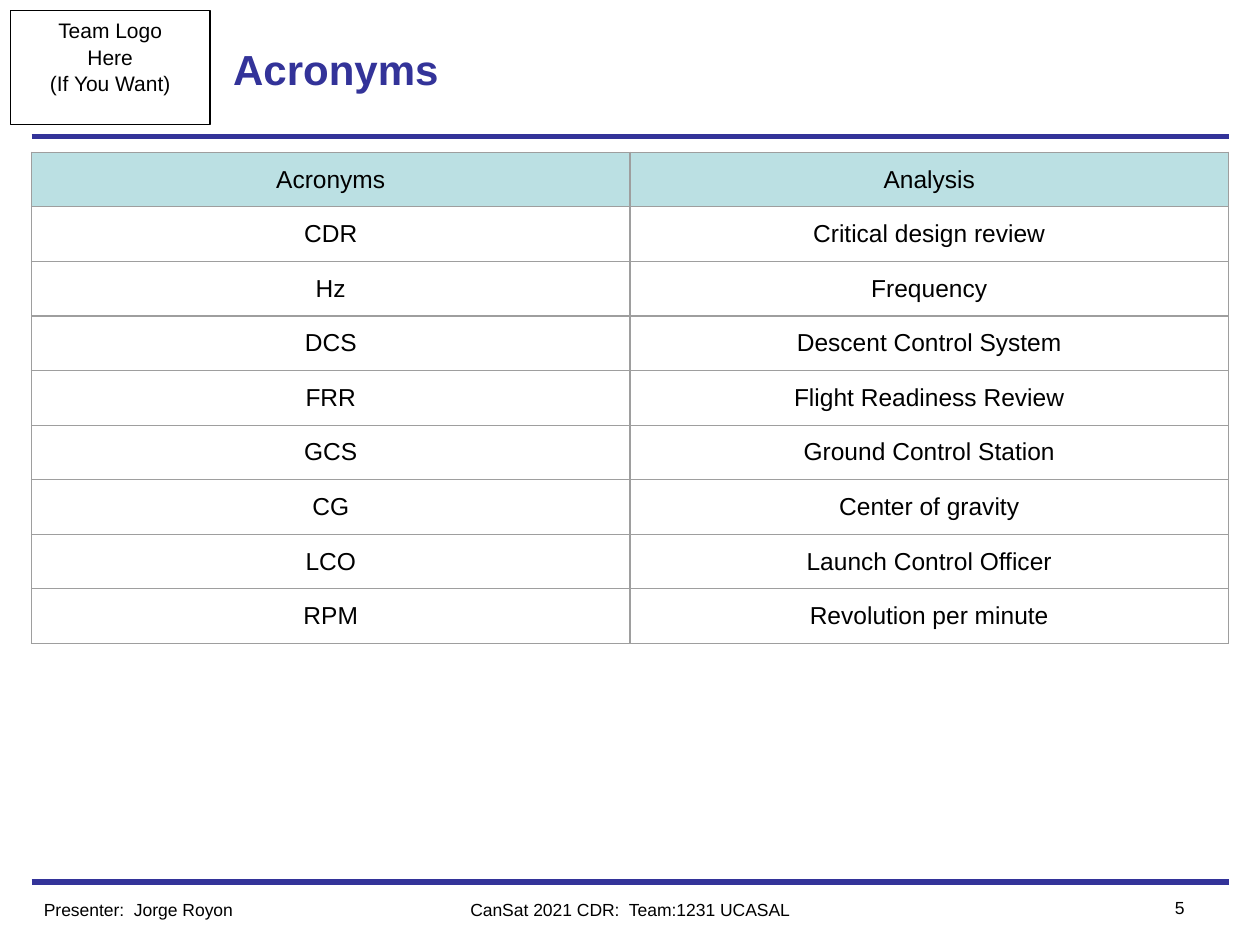
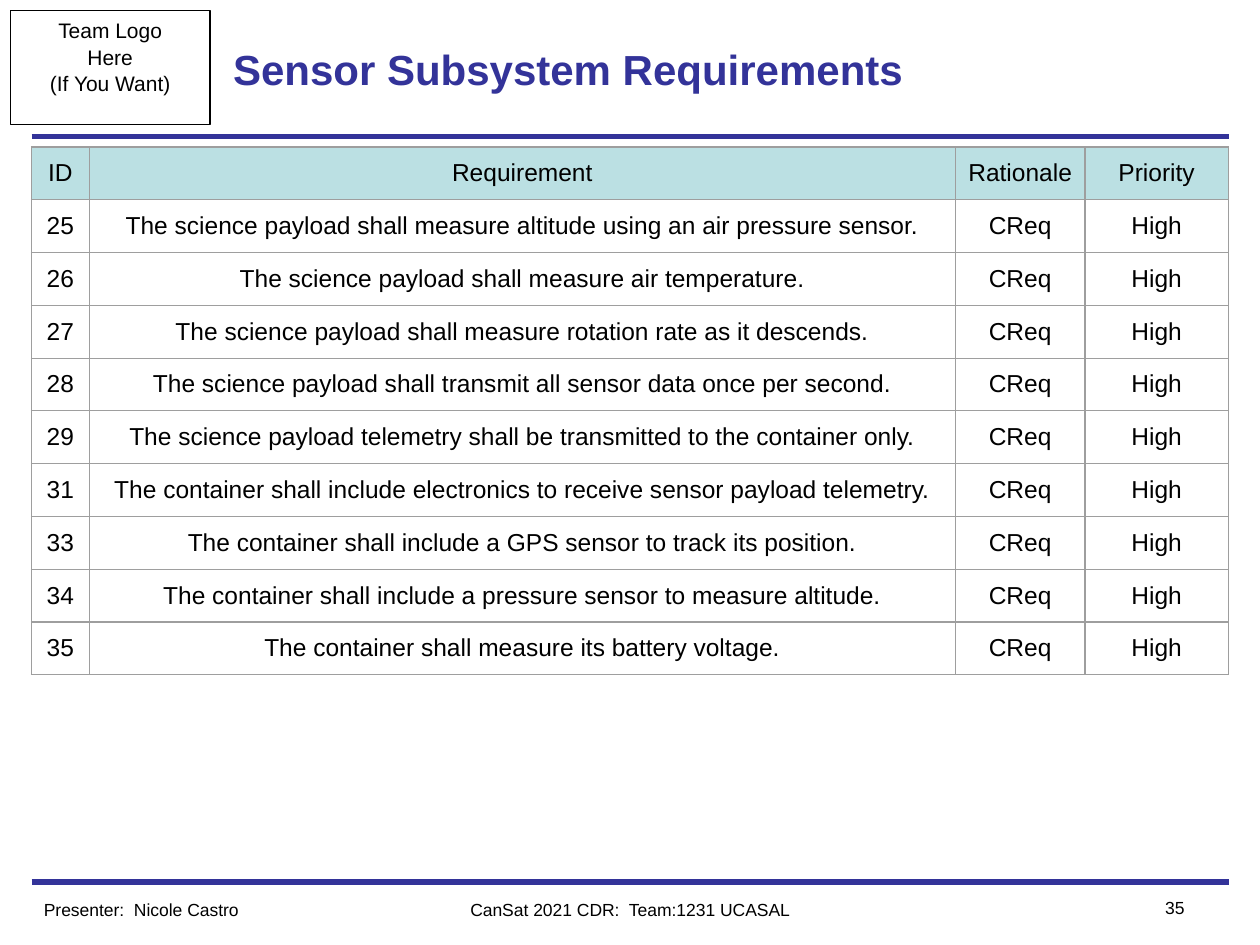
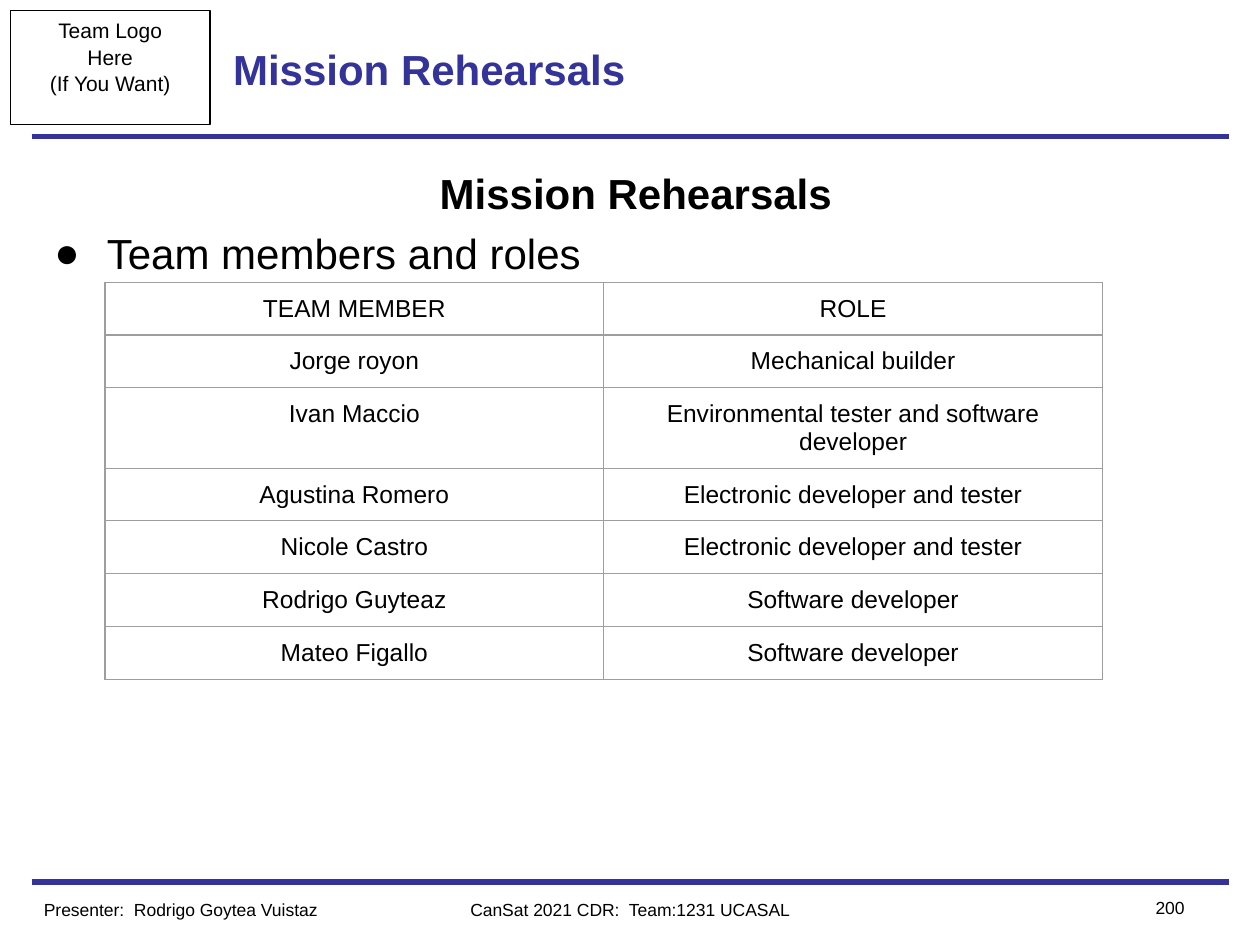
import dataclasses
import typing

import lxml.etree
import pptx
import pptx.dml.color
import pptx.enum.shapes
import pptx.enum.text
import pptx.oxml.ns
import pptx.util

Pt = pptx.util.Pt
Align = pptx.enum.text.PP_ALIGN
Anchor = pptx.enum.text.MSO_ANCHOR


@dataclasses.dataclass(frozen=True)
class Theme:
    font: str = "Arial"
    ink: str = "000000"
    accent: str = "333399"
    header: str = "BBE0E3"
    grid: str = "9E9E9E"
    title_size: float = 24
    table_size: float = 14
    logo_size: float = 12
    footer_size: float = 10
    rule_width: float = 3
    thin_width: float = 0.75


@dataclasses.dataclass(frozen=True)
class Box:
    left: float
    top: float
    width: float
    height: float

    def lengths(self) -> tuple:
        return tuple(Pt(value) for value in dataclasses.astuple(self))


@dataclasses.dataclass(frozen=True)
class TableData:
    left: float
    top: float
    columns: tuple
    row_height: float
    rows: list
    header_fill: bool = True
    anchor: typing.Any = Anchor.TOP


@dataclasses.dataclass(frozen=True)
class Page:
    title: str
    presenter: str
    number: int
    table: TableData
    heading: str = ""
    bullet: str = ""


THEME = Theme()
MARGIN, RIGHT = 18, 702
RULE_TOPS = (78, 504)
LOGO_BOX = Box(6, 6, 114, 65)
TITLE_BOX = Box(126, 6, 468, 66)
BODY_BOX = Box(MARGIN, 84, 684, 408)
PRESENTER_BOX = Box(MARGIN, 510, 180, 19.5)
EVENT_BOX = Box(216, 510, 288, 19.5)
NUMBER_BOX = Box(630, 509, 54, 19.5)
LOGO_LINES = ("Team Logo", "Here", "(If You Want)")
EVENT = "CanSat 2021 CDR:  Team:1231 UCASAL"

ACRONYMS = [
    ("Acronyms", "Analysis"),
    ("CDR", "Critical design review"),
    ("Hz", "Frequency"),
    ("DCS", "Descent Control System"),
    ("FRR", "Flight Readiness Review"),
    ("GCS", "Ground Control Station"),
    ("CG", "Center of gravity"),
    ("LCO", "Launch Control Officer"),
    ("RPM", "Revolution per minute"),
]
REQUIREMENTS = {
    25: "The science payload shall measure altitude using an air pressure sensor.",
    26: "The science payload shall measure air temperature.",
    27: "The science payload shall measure rotation rate as it descends.",
    28: "The science payload shall transmit all sensor data once per second.",
    29: "The science payload telemetry shall be transmitted to the container only.",
    31: "The container shall include electronics to receive sensor payload telemetry.",
    33: "The container shall include a GPS sensor to track its position.",
    34: "The container shall include a pressure sensor to measure altitude.",
    35: "The container shall measure its battery voltage.",
}
REQUIREMENT_ROWS = [("ID", "Requirement", "Rationale", "Priority")] + [
    (str(number), wording, "CReq", "High") for number, wording in REQUIREMENTS.items()
]
ROLES = [
    ("TEAM MEMBER", "ROLE"),
    ("Jorge royon", "Mechanical builder"),
    ("Ivan Maccio", "Environmental tester and software developer"),
    ("Agustina Romero", "Electronic developer and tester"),
    ("Nicole Castro", "Electronic developer and tester"),
    ("Rodrigo Guyteaz", "Software developer"),
    ("Mateo Figallo", "Software developer"),
]

PAGES = [
    Page("Acronyms", "Jorge Royon", 5,
         TableData(MARGIN, 87, (342, 342), 31.2, ACRONYMS, anchor=Anchor.MIDDLE)),
    Page("Sensor Subsystem Requirements", "Nicole Castro", 35,
         TableData(MARGIN, 84, (33, 495, 74, 82), 30.1, REQUIREMENT_ROWS)),
    Page("Mission Rehearsals", "Rodrigo Goytea Vuistaz", 200,
         TableData(60, 161.3, (285, 285), 30.1, ROLES, header_fill=False),
         heading=" Mission Rehearsals", bullet="Team members and roles"),
]


def color(value: str) -> pptx.dml.color.RGBColor:
    return pptx.dml.color.RGBColor.from_string(value)


def add_xml(parent, tag: str, **attributes: str):
    return lxml.etree.SubElement(parent, pptx.oxml.ns.qn(tag), attributes)


def write(para, text: str, *, size: float, ink: str = THEME.ink, bold: bool = False,
          align=Align.LEFT, spacing: float = 1.0, before: float = 0) -> None:
    para.alignment = align
    para.line_spacing = spacing
    para.space_before = Pt(before)
    span = para.add_run()
    span.text = text
    span.font.name = THEME.font
    span.font.size = Pt(size)
    span.font.bold = bold
    span.font.color.rgb = color(ink)


def set_frame(frame, *, anchor=Anchor.TOP, vertical_inset: float = 3.6) -> None:
    frame.word_wrap = True
    frame.auto_size = pptx.enum.text.MSO_AUTO_SIZE.NONE
    frame.vertical_anchor = anchor
    frame.margin_left = frame.margin_right = Pt(7.2)
    frame.margin_top = frame.margin_bottom = Pt(vertical_inset)


def add_text(slide, box: Box, text: str, align) -> None:
    frame = slide.shapes.add_textbox(*box.lengths()).text_frame
    set_frame(frame)
    write(frame.paragraphs[0], text, size=THEME.footer_size, align=align)


def add_rule(slide, top: float) -> None:
    rule = slide.shapes.add_connector(
        pptx.enum.shapes.MSO_CONNECTOR.STRAIGHT, Pt(MARGIN), Pt(top), Pt(RIGHT), Pt(top))
    rule.line.color.rgb = color(THEME.accent)
    rule.line.width = Pt(THEME.rule_width)
    add_xml(rule._element.spPr, "a:effectLst")


def add_logo_box(slide) -> None:
    logo = slide.shapes.add_shape(
        pptx.enum.shapes.MSO_SHAPE.RECTANGLE, *LOGO_BOX.lengths())
    logo.shadow.inherit = False
    logo.fill.background()
    logo.line.color.rgb = color(THEME.ink)
    logo.line.width = Pt(THEME.thin_width)
    frame = logo.text_frame
    set_frame(frame)
    for index, line in enumerate(LOGO_LINES):
        para = frame.add_paragraph() if index else frame.paragraphs[0]
        write(para, line, size=THEME.logo_size, align=Align.CENTER, spacing=1.05)


def add_title(slide, text: str) -> None:
    title = slide.shapes.title
    title.left, title.top, title.width, title.height = TITLE_BOX.lengths()
    set_frame(title.text_frame, anchor=Anchor.MIDDLE)
    write(title.text_frame.paragraphs[0], text, size=THEME.title_size,
          ink=THEME.accent, bold=True)


def add_body(slide, heading: str, bullet: str) -> None:
    frame = slide.shapes.add_textbox(*BODY_BOX.lengths()).text_frame
    set_frame(frame, vertical_inset=7.2)
    write(frame.paragraphs[0], heading, size=THEME.title_size, bold=True,
          align=Align.CENTER, spacing=1.15)
    para = frame.add_paragraph()
    write(para, bullet, size=THEME.title_size, spacing=1.15, before=1.5)
    properties = para._p.get_or_add_pPr()
    properties.set("marL", str(Pt(36)))
    properties.set("indent", str(Pt(-30)))
    add_xml(add_xml(properties, "a:buClr"), "a:srgbClr", val=THEME.ink)
    add_xml(properties, "a:buFont", typeface=THEME.font)
    add_xml(properties, "a:buChar", char="●")


def add_borders(cell) -> None:
    properties = cell._tc.get_or_add_tcPr()
    for side in ("a:lnL", "a:lnR", "a:lnT", "a:lnB"):
        line = add_xml(properties, side, w=str(Pt(THEME.thin_width)))
        add_xml(add_xml(line, "a:solidFill"), "a:srgbClr", val=THEME.grid)


def add_table(slide, data: TableData) -> None:
    box = Box(data.left, data.top, sum(data.columns), data.row_height * len(data.rows))
    table = slide.shapes.add_table(
        len(data.rows), len(data.columns), *box.lengths()).table
    table.first_row = data.header_fill
    table.horz_banding = False
    for column, width in zip(table.columns, data.columns):
        column.width = Pt(width)
    for row_index, values in enumerate(data.rows):
        table.rows[row_index].height = Pt(data.row_height)
        for column_index, value in enumerate(values):
            cell = table.cell(row_index, column_index)
            add_borders(cell)
            if row_index == 0 and data.header_fill:
                cell.fill.solid()
                cell.fill.fore_color.rgb = color(THEME.header)
            else:
                cell.fill.background()
            cell.vertical_anchor = data.anchor
            cell.margin_left = cell.margin_right = Pt(7.2)
            cell.margin_top = cell.margin_bottom = Pt(7.2)
            write(cell.text_frame.paragraphs[0], value, size=THEME.table_size,
                  align=Align.CENTER)


def add_page(deck, page: Page) -> None:
    slide = deck.slides.add_slide(deck.slide_layouts.get_by_name("Title Only"))
    for top in RULE_TOPS:
        add_rule(slide, top)
    add_logo_box(slide)
    add_title(slide, page.title)
    if page.heading:
        add_body(slide, page.heading, page.bullet)
    add_table(slide, page.table)
    add_text(slide, PRESENTER_BOX, f"Presenter:  {page.presenter}", Align.LEFT)
    add_text(slide, EVENT_BOX, EVENT, Align.CENTER)
    add_text(slide, NUMBER_BOX, str(page.number), Align.RIGHT)


def main() -> None:
    deck = pptx.Presentation()
    deck.slide_width, deck.slide_height = Pt(720), Pt(540)
    for page in PAGES:
        add_page(deck, page)
    deck.save("out.pptx")


if __name__ == "__main__":
    main()
